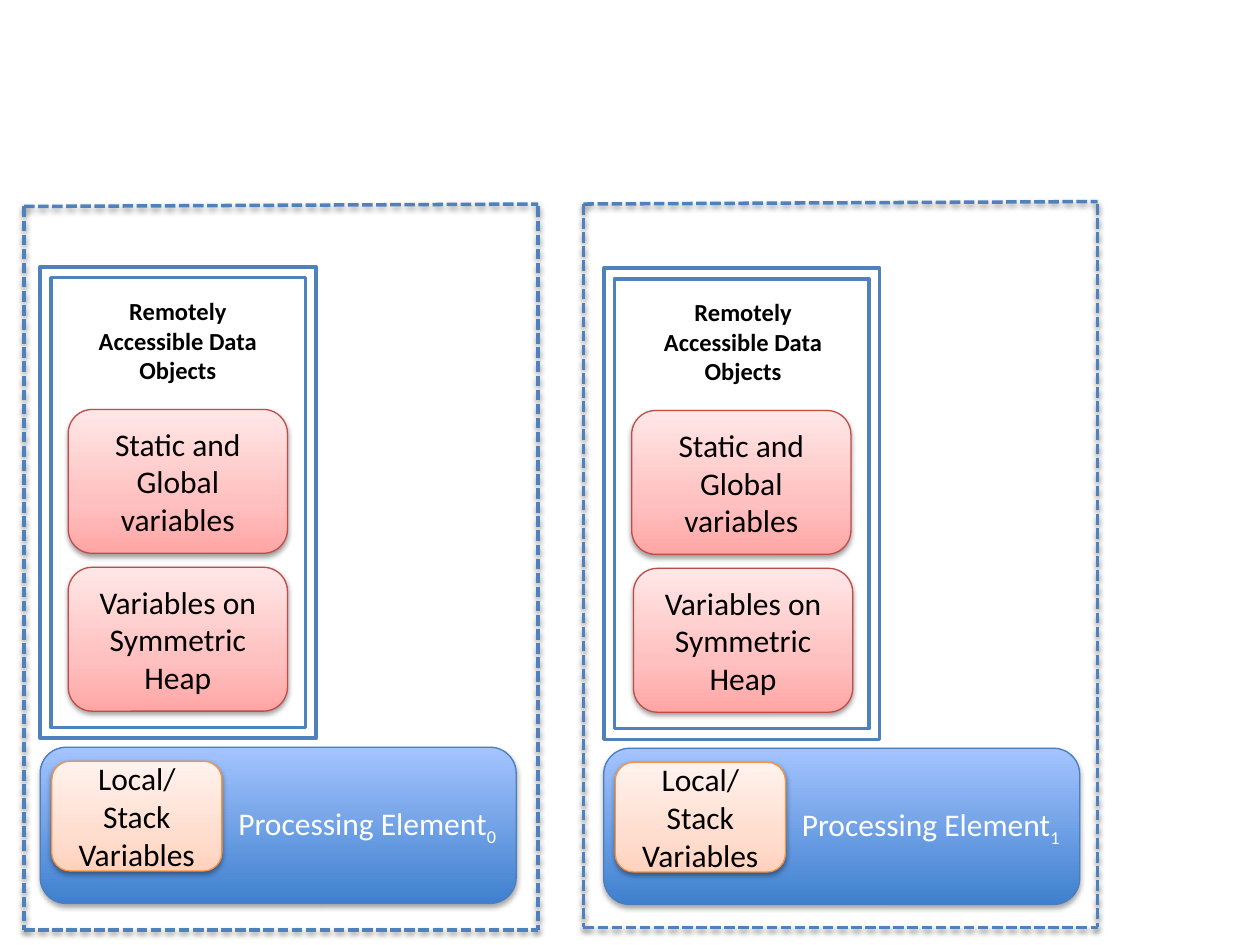
from lxml.etree import SubElement
from pptx import Presentation
from pptx.dml.color import RGBColor
from pptx.enum.dml import MSO_LINE
from pptx.enum.shapes import MSO_CONNECTOR, MSO_SHAPE
from pptx.enum.text import MSO_ANCHOR, MSO_AUTO_SIZE, PP_ALIGN
from pptx.oxml.ns import qn
from pptx.util import Pt

THEME = {
    "font": "Calibri", "body": 18, "label": 14,
    "ink": "000000", "light": "FFFFFF", "accent": "4F81BD", "rule": 2, "edge": 0.75,
    "blue": ([(0, "3F80CE"), (100, "A4C4FF")], "4B7EBC", "FFFFFF", (35, 1.8)),
    "red": ([(0, "FFA6A5"), (35, "FFC0BF"), (100, "FFE7E7")], "BF4C48", "000000", (38, 1.6)),
    "orange": ([(0, "FFD2BD"), (35, "FFDED0"), (100, "FFF2ED")], "F69240", "000000", (38, 1.6)),
}
SHADOW_BLUR = 3.1

PROCESSORS = [
    {"index": "0", "origin": (23, 427), "heap_shift": 0, "border": (13.7, 118)},
    {"index": "1", "origin": (345, 427.6), "heap_shift": 1, "border": (333.4, 116.6)},
]
PROCESSOR_TEXT = "Processing Element"
PROCESSOR_SIZE = (272, 89.3)
STATIC = ("Static and Global variables", "red", (16, -193), (125.3, 82.2))
HEAP = ("Variables on Symmetric Heap", "red", (16, -102.8), (125.3, 82.2))
STACK = ("Local/Stack Variables", "orange", (6.6, 8), (97.2, 62.7))
REMOTE_LABEL = "Remotely Accessible Data Objects"
REMOTE_LABEL_BOX = ((16, -261.3), (125.3, 58.3))
REMOTE_FRAME_BOX = ((0, -274.4), (157.7, 269.3))
BORDER_SIZE = (293.8, 413.4)
BORDER_RISE = 1.4

prs = Presentation()
prs.slide_width, prs.slide_height = Pt(720), Pt(540)
slide = prs.slides.add_slide(prs.slide_layouts[6])


def color(name):
    return RGBColor.from_string(name)


def box(origin, offset, size):
    return [Pt(v) for v in (origin[0] + offset[0], origin[1] + offset[1], *size)]


def add_shadow(part, opacity, distance):
    effects = SubElement(part._element.spPr, qn("a:effectLst"))
    shadow = SubElement(effects, qn("a:outerShdw"), blurRad=str(Pt(SHADOW_BLUR)),
                        dist=str(Pt(distance)), dir="5400000", rotWithShape="0")
    tint = SubElement(shadow, qn("a:srgbClr"), val=THEME["ink"])
    SubElement(tint, qn("a:alpha"), val=str(opacity * 1000))


def style_text(frame, ink, size, align, bold=False):
    frame.word_wrap = True
    paragraph = frame.paragraphs[0]
    paragraph.alignment = align
    for run in paragraph.runs:
        run.font.name, run.font.size, run.font.bold = THEME["font"], Pt(size), bold
        run.font.color.rgb = color(ink)


def add_card(text, style, place, align=PP_ALIGN.CENTER, subscript=None):
    stops, edge, ink, shadow = THEME[style]
    card = slide.shapes.add_shape(MSO_SHAPE.ROUNDED_RECTANGLE, *place)
    card.fill.gradient()
    card.fill.gradient_angle = 90
    stop_list = card._element.spPr.find(".//" + qn("a:gsLst"))
    for old_stop in list(stop_list):
        stop_list.remove(old_stop)
    for position, shade in stops:
        stop = SubElement(stop_list, qn("a:gs"), pos=str(position * 1000))
        SubElement(stop, qn("a:srgbClr"), val=shade)
    card.line.color.rgb = color(edge)
    card.line.width = Pt(THEME["edge"])
    add_shadow(card, *shadow)
    card.text_frame.text = text
    card.text_frame.vertical_anchor = MSO_ANCHOR.MIDDLE
    if subscript:
        run = card.text_frame.paragraphs[0].add_run()
        run.text = subscript
        run._r.get_or_add_rPr().set("baseline", "-25000")
    style_text(card.text_frame, ink, THEME["body"], align)


def add_remote_area(origin, label_shift):
    frame = slide.shapes.add_shape(MSO_SHAPE.FRAME, *box(origin, *REMOTE_FRAME_BOX))
    frame.adjustments[0] = 0.039
    frame.shadow.inherit = False
    frame.fill.solid()
    frame.fill.fore_color.rgb = color(THEME["light"])
    frame.line.color.rgb = color(THEME["accent"])
    frame.line.width = Pt(THEME["rule"])
    (dx, dy), size = REMOTE_LABEL_BOX
    label = slide.shapes.add_textbox(*box(origin, (dx + label_shift, dy), size))
    label.text_frame.text = REMOTE_LABEL
    label.text_frame.auto_size = MSO_AUTO_SIZE.SHAPE_TO_FIT_TEXT
    style_text(label.text_frame, THEME["ink"], THEME["label"], PP_ALIGN.CENTER, True)


def add_border(left, top):
    right, bottom = left + BORDER_SIZE[0], top + BORDER_SIZE[1]
    for ends in [(left, top, right, top - BORDER_RISE), (right, top, right, bottom),
                 (left, top, left, bottom), (left, bottom, right, bottom)]:
        side = slide.shapes.add_connector(MSO_CONNECTOR.STRAIGHT, *map(Pt, ends))
        side.line.color.rgb = color(THEME["accent"])
        side.line.width = Pt(THEME["rule"])
        side.line.dash_style = MSO_LINE.SQUARE_DOT
        add_shadow(side, 38, 1.6)


for processor in PROCESSORS:
    origin, shift = processor["origin"], processor["heap_shift"]
    add_card(PROCESSOR_TEXT, "blue", box(origin, (0, 0), PROCESSOR_SIZE),
             PP_ALIGN.RIGHT, processor["index"])
    for (text, style, (dx, dy), size), nudge in [(STATIC, 0), (HEAP, shift), (STACK, 0)]:
        add_card(text, style, box(origin, (dx + nudge, dy), size))
    add_remote_area(origin, shift)

for processor in PROCESSORS:
    add_border(*processor["border"])

prs.save("out.pptx")
